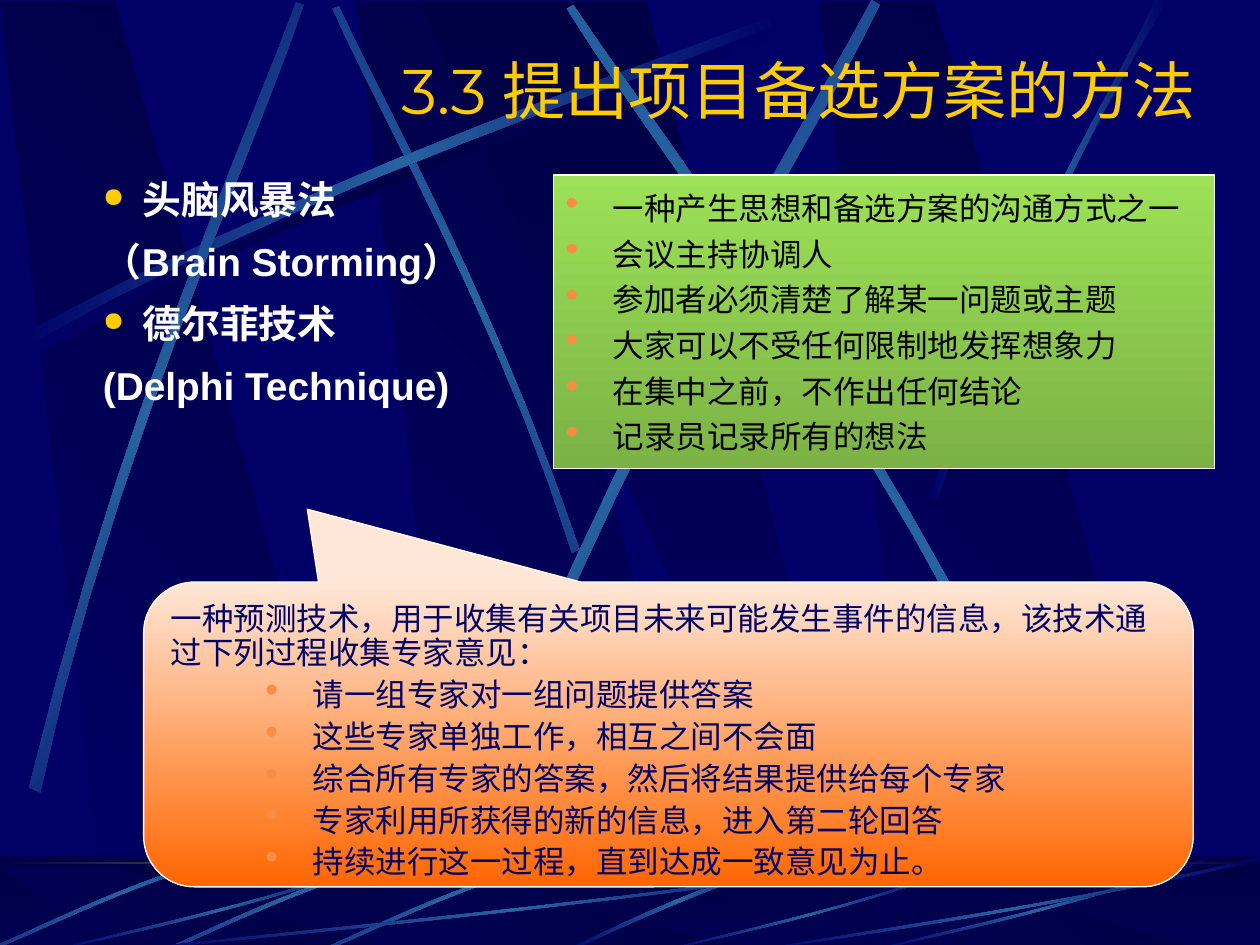
"""Build the slide on methods for proposing project alternatives."""
from dataclasses import dataclass

from lxml import etree
from pptx import Presentation
from pptx.dml.color import RGBColor
from pptx.enum.shapes import MSO_SHAPE
from pptx.enum.text import MSO_ANCHOR, PP_ALIGN
from pptx.oxml.ns import qn
from pptx.util import Pt

RECTANGLE = MSO_SHAPE.RECTANGLE
CALLOUT = MSO_SHAPE.ROUNDED_RECTANGULAR_CALLOUT
TOP, MIDDLE = MSO_ANCHOR.TOP, MSO_ANCHOR.MIDDLE
LEFT, RIGHT = PP_ALIGN.LEFT, PP_ALIGN.RIGHT
CURVE_STEPS = 10

Point = tuple[float, float]
Box = tuple[float, float, float, float]


@dataclass(frozen=True)
class Theme:
    navy: str = "000066"
    midnight: str = "000044"
    beam: str = "2663A0"
    yellow: str = "FFCC00"
    white: str = "FFFFFF"
    black: str = "000000"
    lime: str = "9CE157"
    green: str = "7CB245"
    peach: str = "FFE7D7"
    orange: str = "FF6600"
    bullet: str = "F98D43"
    title_size: float = 36
    topic_size: float = 22.2
    detail_size: float = 18


THEME = Theme()
FADE_IN = (THEME.navy, THEME.midnight)
FADE_OUT = (THEME.midnight, THEME.navy)
GLOW = (THEME.navy, THEME.beam, THEME.navy)
SHADE = (THEME.navy, THEME.midnight, THEME.navy)


@dataclass(frozen=True)
class Bullet:
    character: str
    color: str
    percent: int


@dataclass(frozen=True)
class TextStyle:
    font: str
    size: float
    color: str
    bold: bool = False
    align: PP_ALIGN = LEFT
    line_spacing: float = 1.0
    space_before: float = 0


@dataclass(frozen=True)
class Line:
    text: str
    bullet: Bullet | None = None
    margin: float = 0
    indent: float = 0


@dataclass(frozen=True)
class Beam:
    points: tuple[Point, ...]
    colors: tuple[str, ...] = GLOW
    angle: float = 0

    def moved(self, across: float, down: float, colors: tuple[str, ...] = GLOW) -> "Beam":
        points = tuple((x + across, y + down) for x, y in self.points)
        return Beam(points, colors, self.angle)


LONG_BEAM = Beam(((14.4, 198), (204.5, 96.5), (377.3, 42.5), (450.7, 13),
                  (452.9, 17.3), (380.2, 49.7), (182.9, 108.7), (16.6, 205.2)), SHADE)
SKY_BEAMS = (
    LONG_BEAM,
    Beam(((331.2, 313.9), (281.5, 168.5), (217.4, 55.4), (193.7, 3.6),
          (190.1, 5), (212.4, 56.9), (286.6, 185.8), (326.9, 316.1)), angle=315),
    LONG_BEAM.moved(-4.3, -5.8),
    Beam(((16.6, 450), (67, 240.5), (141.8, 75.6), (169.2, 1.4),
          (173.5, 2.9), (149, 77.8), (61.9, 265), (23, 452.9)), angle=48.3),
    Beam(((277.2, 442.1), (358.6, 230.4), (459.4, 73.4), (498.2, 0),
          (502.6, 2.9), (467.3, 77.8), (349.9, 255.6), (283.7, 447.1)), angle=38.4),
    Beam(((580.3, 403.2), (482.4, 211), (371.5, 68.4), (327.6, 2.9),
          (324, 5), (365, 72.7), (493.2, 234), (575.3, 407.5)), angle=325.2),
    Beam(((531.4, 283), (586.1, 124.6), (639.4, 47.5), (660.2, 0),
          (667.4, 0), (601.9, 104.4), (553.7, 231.8), (535.7, 285.8))),
)
SHORT_BEAM = Beam(((318.2, 489.6), (255.6, 507.6), (206.6, 532.8), (184.3, 542.2),
                   (185, 543.6), (207.4, 535), (262.8, 506.2), (319.7, 491.8)), angle=45.1)
FLOOR_BEAMS = (
    Beam(((451.4, 491), (386.6, 510.5), (343.4, 534.2), (322.6, 542.9),
          (326.2, 543.6), (352.8, 530.6), (411.1, 504), (452.2, 493.2))),
    SHORT_BEAM, SHORT_BEAM.moved(-90, 0), SHORT_BEAM.moved(-184.3, -2.9),
)
SWEEP = ((1, 0.04), (0.57, 0.57), (0.17, 0.85), (0, 1),
         (0, 0.99), (0.17, 0.81), (0.62, 0.51), (1, 0))
SWEEP_BOXES = ((72, 489.6, 444.2, 54), (30.2, 489.6, 192.2, 54), (379.4, 496.1, 166.3, 47.5),
               (498.2, 489.6, 192.2, 54), (432, 489.6, 288, 54))


def set_gradient(shape, colors: tuple[str, ...], angle: float) -> None:
    shape.fill.gradient()
    shape.fill.gradient_angle = (360 - angle) % 360
    stops = shape._element.spPr.find(qn("a:gradFill")).find(qn("a:gsLst"))
    for stop in list(stops):
        stops.remove(stop)
    for index, color in enumerate(colors):
        position = str(round(100000 * index / (len(colors) - 1)))
        stop = etree.SubElement(stops, qn("a:gs"), pos=position)
        etree.SubElement(stop, qn("a:srgbClr"), val=color)


def draw_outline(shapes, points: list[Point], colors: tuple[str, ...], angle: float) -> None:
    start, *rest = [(Pt(x), Pt(y)) for x, y in points]
    builder = shapes.build_freeform(*start, scale=1.0)
    builder.add_line_segments(rest, close=True)
    shape = builder.convert_to_shape()
    shape.shadow.inherit = False
    set_gradient(shape, colors, angle)
    shape.line.fill.background()


def curve(a: Point, b: Point, c: Point, d: Point) -> list[Point]:
    points = []
    for step in range(CURVE_STEPS + 1):
        t = step / CURVE_STEPS
        weights = ((1 - t) ** 3, 3 * t * (1 - t) ** 2, 3 * t * t * (1 - t), t ** 3)
        points.append(tuple(sum(w * p[axis] for w, p in zip(weights, (a, b, c, d)))
                            for axis in (0, 1)))
    return points


def draw_beam(shapes, beam: Beam) -> None:
    outline = curve(*beam.points[:4]) + curve(*beam.points[4:])
    draw_outline(shapes, outline, beam.colors, beam.angle)


def draw_panels(shapes, top: float, bottom: float) -> None:
    for left in (203.8, 0, 468):
        corners = [(left + 61.9, bottom), (left + 217.4, bottom), (left + 65.5, top), (left, top)]
        draw_outline(shapes, corners, FADE_IN, 315)
    corners = [(239.8, top), (473.8, bottom), (499.7, bottom), (369.4, top)]
    draw_outline(shapes, corners, FADE_OUT, 90)


def add_block(shapes, kind: MSO_SHAPE, box: Box, colors: tuple[str, ...], angle: float = 90,
              outlined: bool = False):
    shape = shapes.add_shape(kind, *map(Pt, box))
    shape.shadow.inherit = False
    set_gradient(shape, colors, angle)
    if outlined:
        shape.line.color.rgb = RGBColor.from_string(THEME.white)
        shape.line.width = Pt(0.75)
    else:
        shape.line.fill.background()
    return shape


def write_text(shape, lines: list[Line], style: TextStyle, anchor: MSO_ANCHOR = TOP) -> None:
    frame = shape.text_frame
    frame.word_wrap = True
    frame.vertical_anchor = anchor
    for index, line in enumerate(lines):
        paragraph = frame.add_paragraph() if index else frame.paragraphs[0]
        paragraph.text = line.text
        paragraph.alignment = style.align
        paragraph.line_spacing = style.line_spacing
        paragraph.space_before = Pt(style.space_before if index else 0)
        properties = paragraph._p.get_or_add_pPr()
        properties.set("marL", str(Pt(line.margin)))
        properties.set("indent", str(Pt(line.indent)))
        if line.bullet:
            color = etree.SubElement(properties, qn("a:buClr"))
            etree.SubElement(color, qn("a:srgbClr"), val=line.bullet.color)
            etree.SubElement(properties, qn("a:buSzPct"), val=str(line.bullet.percent * 1000))
            etree.SubElement(properties, qn("a:buChar"), char=line.bullet.character)
        paragraph.font.name = style.font
        paragraph.font.size = Pt(style.size)
        paragraph.font.bold = style.bold
        paragraph.font.color.rgb = RGBColor.from_string(style.color)


def draw_background(slide) -> None:
    slide.background.fill.solid()
    slide.background.fill.fore_color.rgb = RGBColor.from_string(THEME.navy)
    shapes = slide.shapes
    draw_panels(shapes, 0.7, 541)
    for beam in SKY_BEAMS:
        draw_beam(shapes, beam)
    add_block(shapes, RECTANGLE, (0, 489.6, 720, 54), FADE_OUT)
    draw_panels(shapes, 495.4, 543)
    veil = add_block(shapes, RECTANGLE, (0, 488.9, 720, 54), FADE_OUT)
    veil.fill.solid()
    veil.fill.fore_color.rgb = RGBColor.from_string(THEME.midnight)
    color = veil._element.spPr.find(qn("a:solidFill")).find(qn("a:srgbClr"))
    etree.SubElement(color, qn("a:alpha"), val="50000")
    sweeps = [Beam(tuple((left + x * width, top + y * height) for x, y in SWEEP))
              for left, top, width, height in SWEEP_BOXES]
    for beam in (*FLOOR_BEAMS, *sweeps):
        draw_beam(shapes, beam)
    horizon = (THEME.midnight, THEME.lime, THEME.midnight)
    add_block(shapes, RECTANGLE, (0, 492.5, 720, 1.4), horizon, 0)


def draw_content(shapes) -> None:
    title = shapes.add_textbox(Pt(78.5), Pt(25.9), Pt(612), Pt(50.4))
    write_text(title, [Line("3.3 提出项目备选方案的方法")],
               TextStyle("Montserrat", THEME.title_size, THEME.yellow, align=RIGHT), MIDDLE)

    dot = Bullet("•", THEME.bullet, 120)
    delphi = add_block(shapes, CALLOUT, (82.1, 332.6, 599.8, 174.2),
                       (THEME.peach, THEME.orange), outlined=True)
    for index, value in enumerate((-0.344, -0.739, 0.167)):
        delphi.adjustments[index] = value
    steps = ("请一组专家对一组问题提供答案", "这些专家单独工作，相互之间不会面",
             "综合所有专家的答案，然后将结果提供给每个专家",
             "专家利用所获得的新的信息，进入第二轮回答", "持续进行这一过程，直到达成一致意见为止。")
    intro = Line("一种预测技术，用于收集有关项目未来可能发生事件的信息，该技术通过下列过程收集专家意见：")
    write_text(delphi, [intro, *(Line(step, dot, 81, -27) for step in steps)],
               TextStyle("Cabin", THEME.detail_size, THEME.navy, line_spacing=0.9, space_before=4.5))

    storming = add_block(shapes, RECTANGLE, (316.1, 100.1, 378, 167.8),
                         (THEME.lime, THEME.green), outlined=True)
    rules = ("一种产生思想和备选方案的沟通方式之一", "会议主持协调人", "参加者必须清楚了解某一问题或主题",
             "大家可以不受任何限制地发挥想象力", "在集中之前，不作出任何结论", "记录员记录所有的想法")
    write_text(storming, [Line(rule, dot, 27, -27) for rule in rules],
               TextStyle("Cabin", THEME.detail_size, THEME.black, space_before=4.5), MIDDLE)

    topics = shapes.add_textbox(Pt(15.8), Pt(94.3), Pt(264.2), Pt(167.8))
    topics.text_frame.margin_right = Pt(14)
    disc = Bullet("●", THEME.yellow, 70)
    names = (("头脑风暴法", disc), ("（Brain Storming）", None),
             ("德尔菲技术", disc), ("(Delphi Technique)", None))
    write_text(topics, [Line(name, bullet, 58.5, -22.5) for name, bullet in names],
               TextStyle("Arial", THEME.topic_size, THEME.white, True,
                         line_spacing=1.1, space_before=6))


def main() -> None:
    presentation = Presentation()
    presentation.slide_width, presentation.slide_height = Pt(720), Pt(540)
    slide = presentation.slides.add_slide(presentation.slide_layouts[6])
    draw_background(slide)
    draw_content(slide.shapes)
    presentation.save("out.pptx")


if __name__ == "__main__":
    main()
